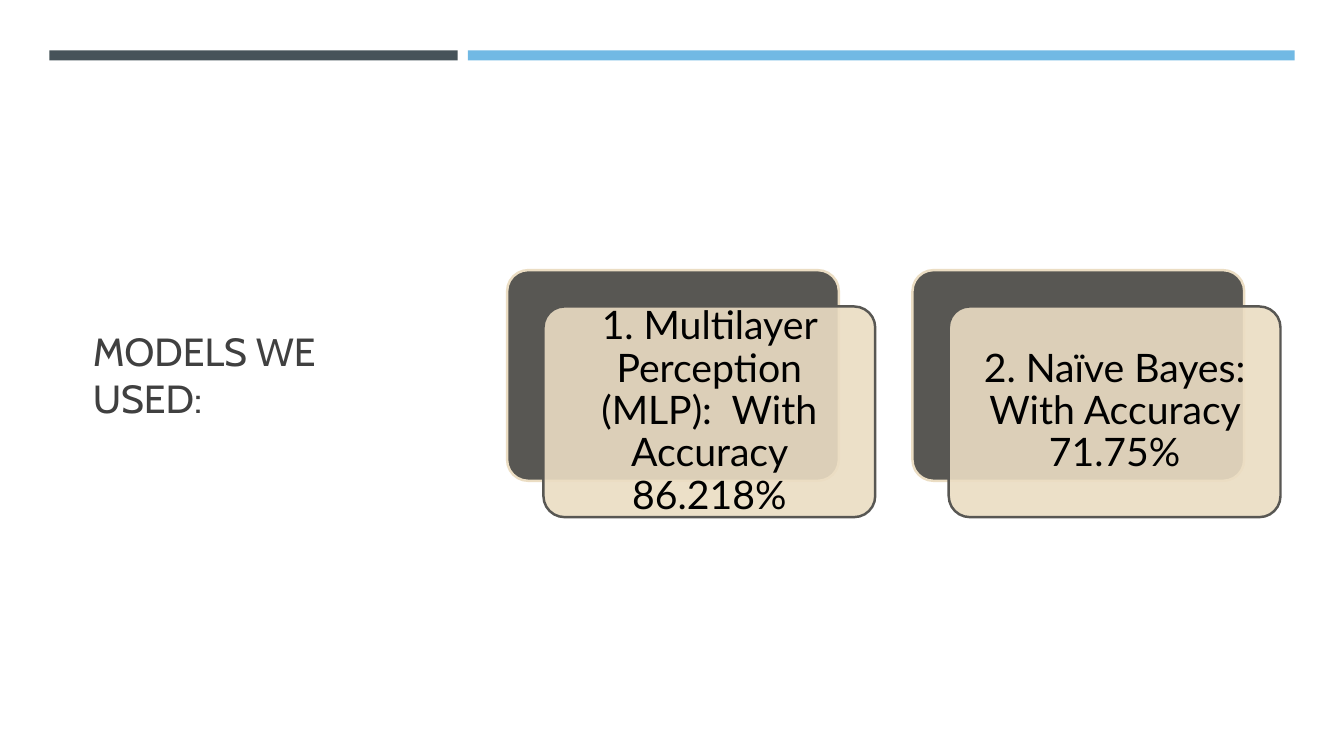
"""Build the slide that names the two models used and their accuracy."""
from dataclasses import dataclass

from lxml.etree import SubElement
from pptx import Presentation
from pptx.dml.color import RGBColor
from pptx.enum.shapes import MSO_SHAPE
from pptx.enum.text import MSO_ANCHOR, MSO_AUTO_SIZE, PP_ALIGN
from pptx.oxml.ns import qn
from pptx.util import Inches, Pt


@dataclass(frozen=True)
class Theme:
    slate: RGBColor = RGBColor.from_string("465359")
    sky: RGBColor = RGBColor.from_string("71B9E4")
    charcoal: RGBColor = RGBColor.from_string("585753")
    sand: RGBColor = RGBColor.from_string("EBDDC3")
    title_color: RGBColor = RGBColor.from_string("404040")
    card_color: RGBColor = RGBColor.from_string("000000")
    title_font: str = "Cabin"
    card_font: str = "Lato"
    text_size: Pt = Pt(28)
    outline: Pt = Pt(1.75)


def add_block(page, kind, left, top, width, height, fill, line=None):
    block = page.shapes.add_shape(kind, *map(Inches, (left, top, width, height)))
    block.shadow.inherit = False
    block.fill.solid()
    block.fill.fore_color.rgb = fill
    if line is None:
        block.line.fill.background()
    else:
        block.line.color.rgb = line
        block.line.width = theme.outline
        block.adjustments[0] = 0.1
    return block


def write_text(box, text, font, color, align, line_spacing, inset):
    frame = box.text_frame
    frame_format = {
        "word_wrap": True,
        "auto_size": MSO_AUTO_SIZE.NONE,
        "vertical_anchor": MSO_ANCHOR.MIDDLE,
        "margin_left": Inches(inset),
        "margin_right": Inches(inset),
        "margin_top": Inches(inset),
        "margin_bottom": Inches(inset),
    }
    for name, value in frame_format.items():
        setattr(frame, name, value)
    para = frame.paragraphs[0]
    para.alignment = align
    para.line_spacing = line_spacing
    span = para.add_run()
    span.text = text
    for name, value in {"name": font, "size": theme.text_size}.items():
        setattr(span.font, name, value)
    span.font.color.rgb = color


theme = Theme()
deck = Presentation()
deck.slide_width, deck.slide_height = Inches(13.33), Inches(7.5)
page = deck.slides.add_slide(deck.slide_layouts[5])

title = page.shapes.title
title_place = {"left": 0.82, "top": 1.14, "width": 3.34, "height": 5.15}
for name, value in title_place.items():
    setattr(title, name, Inches(value))
write_text(title, "MODELS WE USED:", theme.title_font, theme.title_color,
           PP_ALIGN.LEFT, 1.0, 0.1)

for left, width, color in [(0.49, 4.05, theme.slate), (4.64, 8.2, theme.sky)]:
    add_block(page, MSO_SHAPE.RECTANGLE, left, 0.5, width, 0.1, color)

models = [
    "1. Multilayer Perception (MLP):  With Accuracy 86.218%",
    "2. Naïve Bayes: With Accuracy 71.75%",
]
card_left, card_top, card_width, card_height = 5.03, 2.68, 3.29, 2.09
card_pitch, card_offset = 4.02, 0.36
for index, model in enumerate(models):
    left = card_left + index * card_pitch
    add_block(page, MSO_SHAPE.ROUNDED_RECTANGLE, left, card_top,
              card_width, card_height, theme.charcoal, theme.sand)
    card = add_block(page, MSO_SHAPE.ROUNDED_RECTANGLE, left + card_offset,
                     card_top + card_offset, card_width, card_height,
                     theme.sand, theme.charcoal)
    fill_color = card.fill._xPr.find(qn("a:solidFill"))[0]
    SubElement(fill_color, qn("a:alpha"), val="90000")
    write_text(card, model, theme.card_font, theme.card_color,
               PP_ALIGN.CENTER, 0.9, 0.12)

deck.save("out.pptx")
